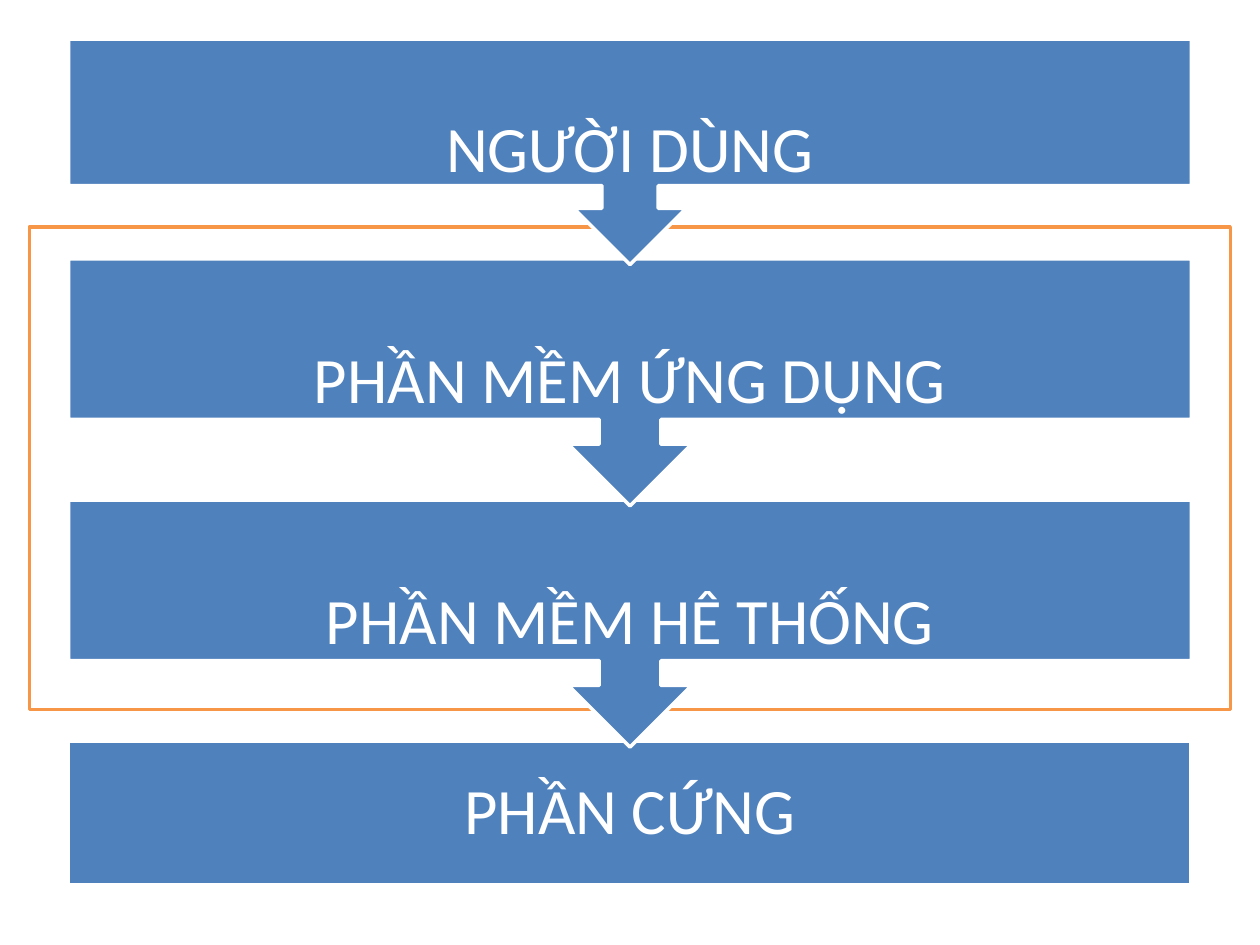
"""Build a slide that stacks the four layers between user and hardware."""
from dataclasses import dataclass

from pptx import Presentation
from pptx.dml.color import RGBColor
from pptx.enum.shapes import MSO_SHAPE as Preset
from pptx.enum.text import MSO_ANCHOR as Anchor, PP_ALIGN as Align
from pptx.util import Inches, Pt


@dataclass(frozen=True)
class Theme:
    blue: str = "4F81BD"
    orange: str = "F79646"
    white: str = "FFFFFF"
    font: str = "Calibri"
    size: float = 37
    line: float = 2
    inset: float = 2.9


@dataclass(frozen=True)
class Area:
    column: float
    row: float
    columns: float
    rows: float

    def lengths(self) -> list:
        return [Inches(cells * CELL) for cells in (self.column, self.row, self.columns, self.rows)]


@dataclass(frozen=True)
class Layer:
    label: str
    rows: float
    callout: bool = True


THEME = Theme()
CELL = 0.1
GRID_COLUMNS, GRID_ROWS = 100, 75
LAYER_COLUMNS = 89.1
FIRST_ROW, OVERLAP = 3.1, 0.45
FRAME = Area(2.35, 18, 95.3, 38.3)
LAYERS = (
    Layer("NGƯỜI DÙNG", 17.9),
    Layer("PHẦN MỀM ỨNG DỤNG", 19.6),
    Layer("PHẦN MỀM HÊ THỐNG", 19.6),
    Layer("PHẦN CỨNG", 11.4, callout=False),
)


def add_block(page, preset: Preset, area: Area, *, fill: str, line: str, rotation: float = 0) -> None:
    block = page.shapes.add_shape(preset, *area.lengths())
    block.shadow.inherit = False
    block.rotation = rotation
    block.fill.solid()
    block.fill.fore_color.rgb = RGBColor.from_string(fill)
    block.line.color.rgb = RGBColor.from_string(line)
    block.line.width = Pt(THEME.line)


def add_text(page, text: str, area: Area, *, size: float, color: str, font: str) -> None:
    box = page.shapes.add_textbox(*area.lengths())
    frame = box.text_frame
    frame.word_wrap = True
    frame.vertical_anchor = Anchor.MIDDLE
    for side in ("left", "top", "right", "bottom"):
        setattr(frame, f"margin_{side}", Inches(THEME.inset * CELL))
    para = frame.paragraphs[0]
    para.alignment = Align.CENTER
    para.line_spacing = 0.9
    para.space_after = Pt(round(0.35 * size))
    span = para.add_run()
    span.text = text
    span.font.size = Pt(size)
    span.font.name = font
    span.font.color.rgb = RGBColor.from_string(color)


def add_layer(page, layer: Layer, area: Area) -> None:
    preset = Preset.UP_ARROW_CALLOUT if layer.callout else Preset.RECTANGLE
    add_block(page, preset, area, fill=THEME.blue, line=THEME.white,
              rotation=180 if layer.callout else 0)
    add_text(page, layer.label, area, size=THEME.size, color=THEME.white, font=THEME.font)


def stack_areas(layers: tuple[Layer, ...]) -> list[Area]:
    areas, row = [], FIRST_ROW
    for layer in layers:
        areas.append(Area((GRID_COLUMNS - LAYER_COLUMNS) / 2, row, LAYER_COLUMNS, layer.rows))
        row += layer.rows - OVERLAP
    return areas


def main() -> None:
    deck = Presentation()
    deck.slide_width = Inches(GRID_COLUMNS * CELL)
    deck.slide_height = Inches(GRID_ROWS * CELL)
    page = deck.slides.add_slide(deck.slide_layouts[6])
    add_block(page, Preset.RECTANGLE, FRAME, fill=THEME.white, line=THEME.orange)
    for layer, area in reversed(list(zip(LAYERS, stack_areas(LAYERS)))):
        add_layer(page, layer, area)
    deck.save("out.pptx")


if __name__ == "__main__":
    main()
